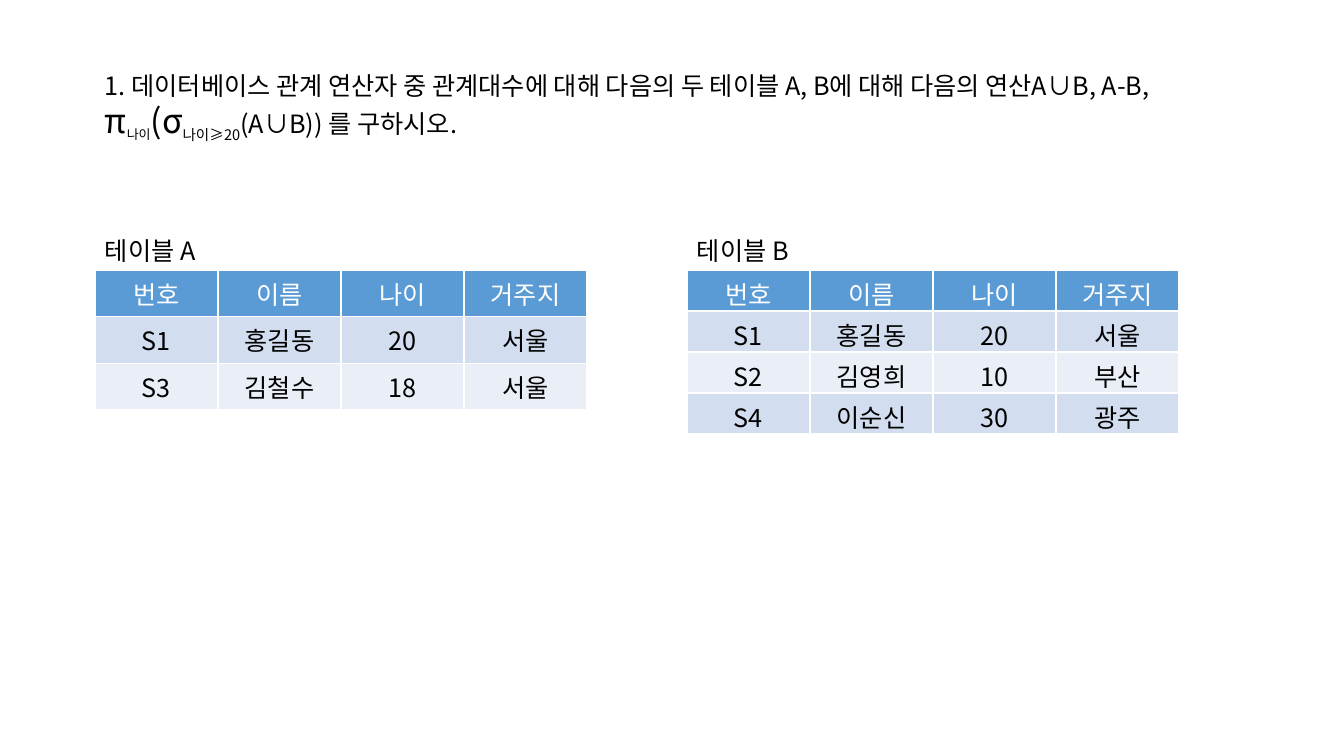
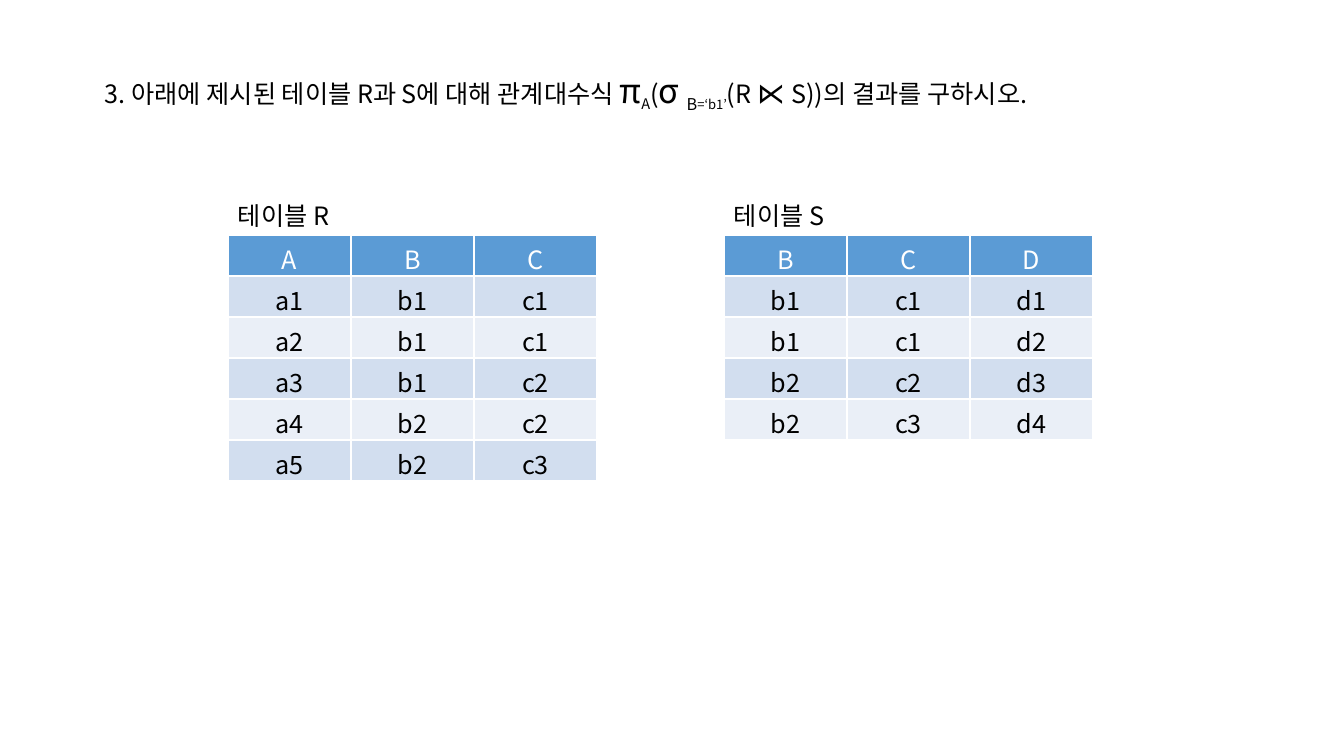
"""Build two relational algebra exercise slides with their source tables."""
import dataclasses

import pptx
import pptx.dml.color
import pptx.enum.text
import pptx.oxml
import pptx.oxml.ns
import pptx.util


@dataclasses.dataclass(frozen=True)
class Theme:
    font: str = "Noto Sans CJK KR"
    text: str = "000000"
    header_text: str = "FFFFFF"
    header_fill: str = "5B9BD5"
    band_fills: tuple = ("D2DEEF", "EAEFF7")
    body: int = 18
    small: int = 16
    medium: int = 20
    symbol: int = 24


THEME = Theme()
EMU_PER_PX = 914400 / 100.8
SLIDE_WIDTH, SLIDE_HEIGHT = 1344, 756
QUESTION_LEFT, QUESTION_TOP = 95, 65
COLUMN_WIDTH, CAPTION_HEIGHT = 123, 40
SUBSCRIPT = "-25000"


def px(length):
    return pptx.util.Emu(round(length * EMU_PER_PX))


def style_paragraph(paragraph, color):
    font = paragraph.font
    font.name = THEME.font
    font.size = pptx.util.Pt(THEME.body)
    font.bold = False
    font.color.rgb = pptx.dml.color.RGBColor.from_string(color)
    defaults = paragraph._p.pPr.find(pptx.oxml.ns.qn("a:defRPr"))
    namespace = pptx.oxml.ns.nsdecls("a")
    defaults.append(pptx.oxml.parse_xml(f'<a:ea {namespace} typeface="{THEME.font}"/>'))


PEOPLE_HEADER = ["번호", "이름", "나이", "거주지"]
SLIDES = [
    {
        "question_size": (1183, 82),
        "question": [
            [("1. 데이터베이스 관계 연산자 중 관계대수에 대해 다음의 두 테이블 A, B에 대해 다음의 연산A∪B, A-B,", THEME.body, False)],
            [
                ("π", THEME.symbol, False),
                ("나이", THEME.small, True),
                ("(σ", THEME.symbol, False),
                ("나이≥20", THEME.body, True),
                ("(A∪B)) 를 구하시오.", THEME.body, False),
            ],
        ],
        "table_top": 270,
        "tables": [
            ("테이블 A", 95, 46, [PEOPLE_HEADER, ["S1", "홍길동", "20", "서울"], ["S3", "김철수", "18", "서울"]]),
            ("테이블 B", 687, 41, [
                PEOPLE_HEADER,
                ["S1", "홍길동", "20", "서울"],
                ["S2", "김영희", "10", "부산"],
                ["S4", "이순신", "30", "광주"],
            ]),
        ],
    },
    {
        "question_size": (1165, 50),
        "question": [
            [
                ("3. 아래에 제시된 테이블 R과 S에 대해 관계대수식 ", THEME.body, False),
                ("π", THEME.symbol, False),
                ("A", THEME.body, True),
                ("(", THEME.body, False),
                ("σ ", THEME.symbol, False),
                ("B", THEME.medium, True),
                ("=‘b1’", THEME.small, True),
                ("(R ", THEME.body, False),
                ("⋉ ", THEME.medium, False),
                ("S))의 결과를 구하시오.", THEME.body, False),
            ],
        ],
        "table_top": 235,
        "tables": [
            ("테이블 R", 228, 41, [
                ["A", "B", "C"],
                ["a1", "b1", "c1"],
                ["a2", "b1", "c1"],
                ["a3", "b1", "c2"],
                ["a4", "b2", "c2"],
                ["a5", "b2", "c3"],
            ]),
            ("테이블 S", 724, 41, [
                ["B", "C", "D"],
                ["b1", "c1", "d1"],
                ["b1", "c1", "d2"],
                ["b2", "c2", "d3"],
                ["b2", "c3", "d4"],
            ]),
        ],
    },
]

presentation = pptx.Presentation()
presentation.slide_width = px(SLIDE_WIDTH)
presentation.slide_height = px(SLIDE_HEIGHT)

for content in SLIDES:
    slide = presentation.slides.add_slide(presentation.slide_layouts[6])
    table_top = content["table_top"]

    for caption, left, row_height, rows in content["tables"]:
        column_count = len(rows[0])
        table = slide.shapes.add_table(
            len(rows), column_count, px(left), px(table_top),
            px(COLUMN_WIDTH * column_count), px(row_height * len(rows)),
        ).table
        table.first_row = False
        for column in table.columns:
            column.width = px(COLUMN_WIDTH)
        for row_index, values in enumerate(rows):
            table.rows[row_index].height = px(row_height)
            is_header = row_index == 0
            fill = THEME.header_fill if is_header else THEME.band_fills[(row_index - 1) % 2]
            for column_index, value in enumerate(values):
                cell = table.cell(row_index, column_index)
                cell.text = value
                cell.fill.solid()
                cell.fill.fore_color.rgb = pptx.dml.color.RGBColor.from_string(fill)
                paragraph = cell.text_frame.paragraphs[0]
                paragraph.alignment = pptx.enum.text.PP_ALIGN.CENTER
                style_paragraph(paragraph, THEME.header_text if is_header else THEME.text)

        caption_frame = slide.shapes.add_textbox(
            px(left), px(table_top - CAPTION_HEIGHT), px(COLUMN_WIDTH), px(CAPTION_HEIGHT)
        ).text_frame
        caption_frame.word_wrap = True
        caption_frame.auto_size = pptx.enum.text.MSO_AUTO_SIZE.SHAPE_TO_FIT_TEXT
        caption_frame.text = caption
        style_paragraph(caption_frame.paragraphs[0], THEME.text)

    width, height = content["question_size"]
    question_frame = slide.shapes.add_textbox(
        px(QUESTION_LEFT), px(QUESTION_TOP), px(width), px(height)
    ).text_frame
    question_frame.word_wrap = True
    question_frame.auto_size = pptx.enum.text.MSO_AUTO_SIZE.SHAPE_TO_FIT_TEXT
    for line_index, line in enumerate(content["question"]):
        paragraph = question_frame.add_paragraph() if line_index else question_frame.paragraphs[0]
        style_paragraph(paragraph, THEME.text)
        for text, size, is_subscript in line:
            run = paragraph.add_run()
            run.text = text
            run.font.size = pptx.util.Pt(size)
            if is_subscript:
                run._r.get_or_add_rPr().set("baseline", SUBSCRIPT)

presentation.save("out.pptx")
